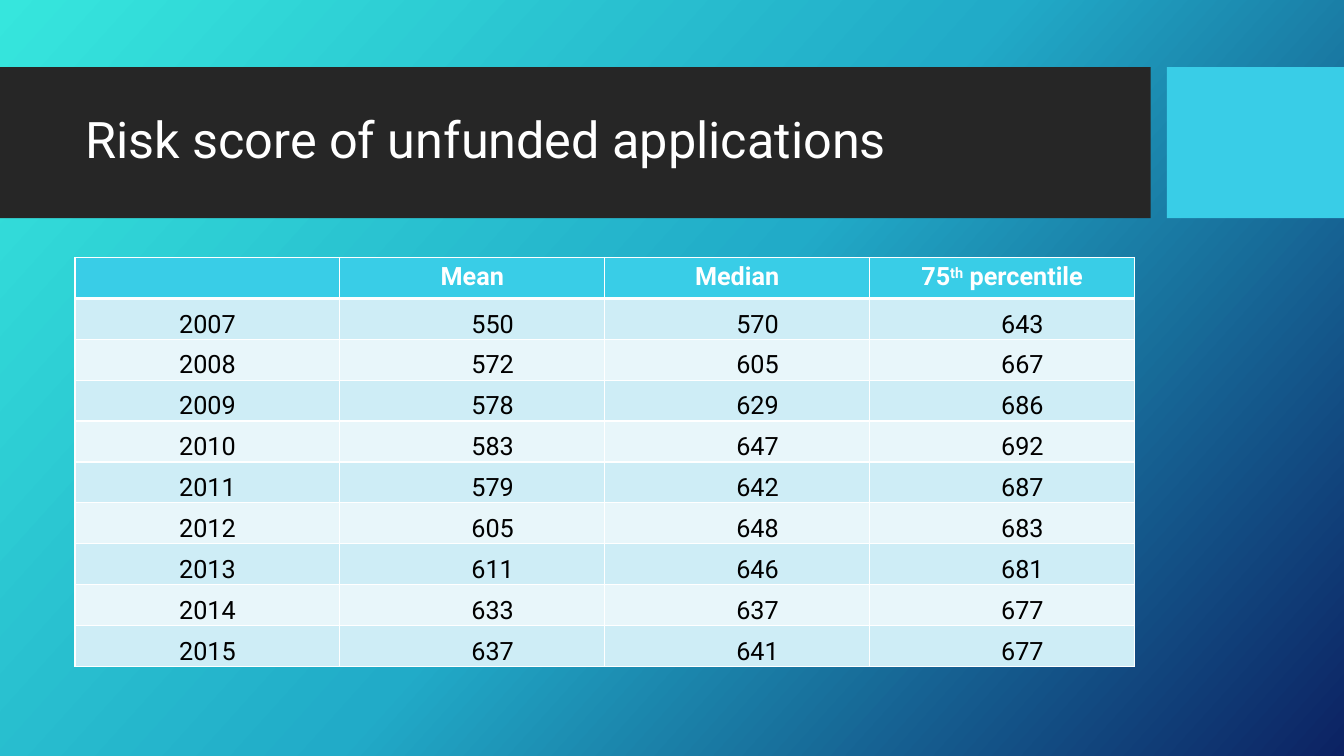
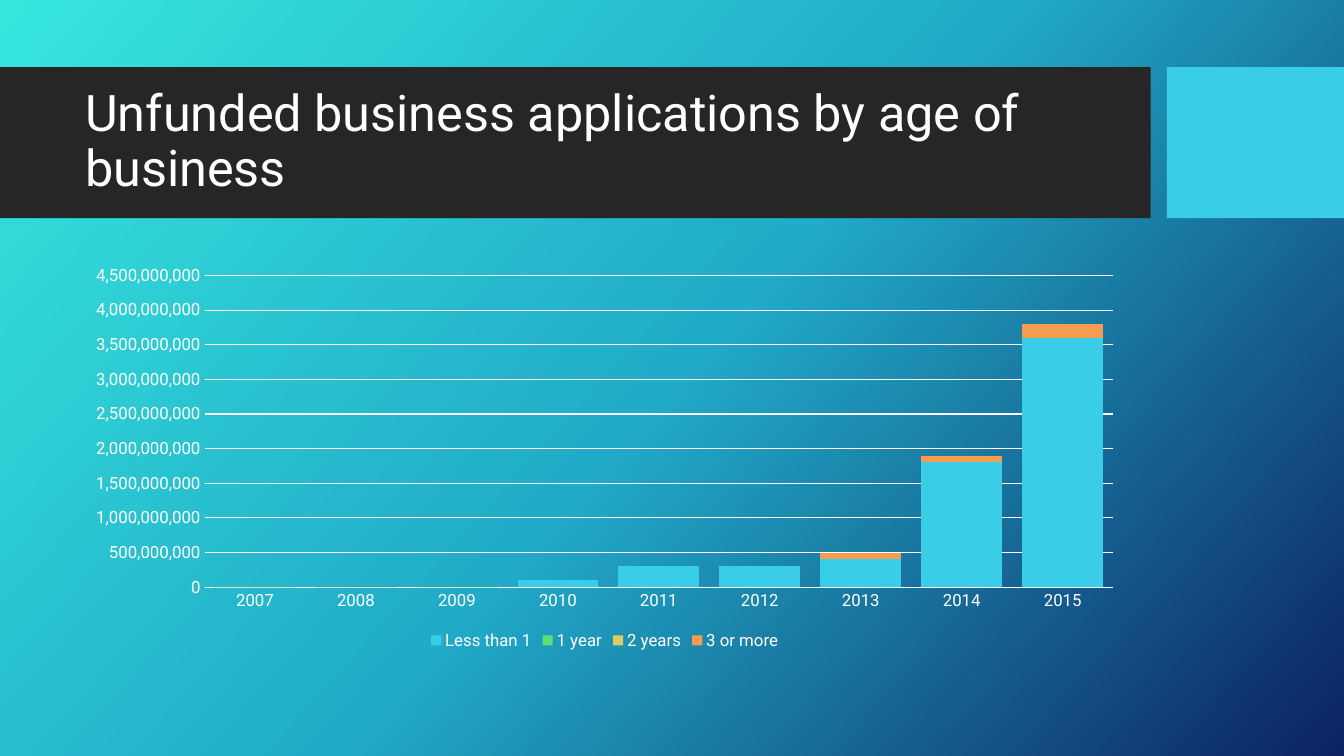
import copy

import lxml.etree
import pptx
import pptx.chart.data
import pptx.dml.color
import pptx.enum.chart
import pptx.enum.shapes
import pptx.enum.text
import pptx.oxml.ns
import pptx.util

Cm = pptx.util.Cm
Pt = pptx.util.Pt
ALIGN = pptx.enum.text.PP_ALIGN
ANCHOR = pptx.enum.text.MSO_ANCHOR

WHITE = "FFFFFF"
BLACK = "000000"
CHARCOAL = "262626"
CYAN = "39CDE7"
ROW_FILLS = ("CEEDF6", "E8F6FA")
SERIES_COLOURS = (CYAN, "60DE72", "DDCC64", "F49D50")
BACKGROUND_STOPS = ((0, "36E6DD"), (0.5, "21ABC8"), (1, "0C2263"))

LEFT, TOP, WIDTH = 1.89, 6.49, 26.7
YEARS = [str(year) for year in range(2007, 2016)]

RISK_SCORES = {
    "Mean": (550, 572, 578, 583, 579, 605, 611, 633, 637),
    "Median": (570, 605, 629, 647, 642, 648, 646, 637, 641),
    "75th percentile": (643, 667, 686, 692, 687, 683, 681, 677, 677),
}

HUNDRED_MILLIONS_BY_AGE = {
    "Less than 1": (0, 0, 0, 1, 3, 3, 4, 18, 36),
    "1 year": (0, 0, 0, 0, 0, 0, 0, 0, 0),
    "2 years": (0, 0, 0, 0, 0, 0, 0, 0, 0),
    "3 or more": (0, 0, 0, 0, 0, 0, 1, 1, 2),
}


def colour(code):
    return pptx.dml.color.RGBColor.from_string(code)


def apply(target, values):
    for name, value in values.items():
        setattr(target, name, value)


def format_font(font, size, code=WHITE, bold=False):
    apply(font, {"name": "Roboto", "size": Pt(size), "bold": bold})
    font.color.rgb = colour(code)


def paint(target, code):
    target.fill.solid()
    target.fill.fore_color.rgb = colour(code)


class Presenter:
    def __init__(self):
        self.deck = pptx.Presentation()
        apply(self.deck, {"slide_width": Cm(33.87), "slide_height": Cm(19.05)})
        self.page = None
        self.set_background()

    def set_background(self):
        master = self.deck.slide_master
        fill = master.background.fill
        fill.gradient()
        fill.gradient_angle = 318
        stop_list = master._element.xpath(".//p:bg//a:gsLst")[0]
        stop_list.append(copy.deepcopy(stop_list[0]))
        for stop, (position, code) in zip(fill.gradient_stops, BACKGROUND_STOPS):
            stop.position = position
            stop.color.rgb = colour(code)

    def add_page(self, title):
        self.page = self.deck.slides.add_slide(self.deck.slide_layouts[5])
        self.add_band(0, 29, CHARCOAL)
        self.add_band(29.41, 4.46, CYAN)
        self.add_title(title)

    def add_band(self, left, width, code):
        band = self.page.shapes.add_shape(
            pptx.enum.shapes.MSO_SHAPE.RECTANGLE, Cm(left), Cm(1.69), Cm(width), Cm(3.81)
        )
        band.shadow.inherit = False
        paint(band, code)
        band.line.fill.background()

    def add_title(self, text):
        title = self.page.shapes.title
        self.page.shapes._spTree.append(title._element)
        apply(title, {"left": Cm(LEFT), "top": Cm(2.09), "width": Cm(WIDTH), "height": Cm(3)})
        frame = title.text_frame
        frame.text = text
        apply(frame, {
            "vertical_anchor": ANCHOR.MIDDLE,
            "word_wrap": True,
            "auto_size": pptx.enum.text.MSO_AUTO_SIZE.NONE,
        })
        para = frame.paragraphs[0]
        apply(para, {"alignment": ALIGN.LEFT, "line_spacing": 0.9})
        format_font(para.font, 36)

    def add_borders(self, cell, widths):
        properties = cell._tc.get_or_add_tcPr()
        for index, (side, width) in enumerate(widths.items()):
            line = lxml.etree.Element(pptx.oxml.ns.qn(f"a:ln{side}"), w=str(Pt(width)))
            fill = lxml.etree.SubElement(line, pptx.oxml.ns.qn("a:solidFill"))
            lxml.etree.SubElement(fill, pptx.oxml.ns.qn("a:srgbClr"), val=WHITE)
            properties.insert(index, line)

    def fill_header(self, cell, text):
        para = cell.text_frame.paragraphs[0]
        para.alignment = ALIGN.CENTER
        before, ordinal, after = text.partition("th ")
        pieces = (before, "th", f" {after}") if ordinal else (text,)
        for piece in pieces:
            span = para.add_run()
            span.text = piece
            format_font(span.font, 18, WHITE, True)
            if piece == "th":
                span._r.get_or_add_rPr().set("baseline", "30000")

    def fill_value(self, cell, text, is_year):
        cell.text = text
        apply(cell, {
            "vertical_anchor": ANCHOR.BOTTOM,
            "margin_left": Cm(0.03),
            "margin_top": Cm(0.03),
            "margin_right": Cm(0.03 if is_year else 2.29),
            "margin_bottom": 0,
        })
        para = cell.text_frame.paragraphs[0]
        para.alignment = ALIGN.CENTER if is_year else ALIGN.RIGHT
        format_font(para.font, 18, BLACK)

    def add_table(self, categories, columns):
        rows = [("", *columns), *zip(categories, *columns.values())]
        table = self.page.shapes.add_table(
            len(rows), len(rows[0]), Cm(LEFT), Cm(TOP), Cm(WIDTH), Cm(1.03 * len(rows))
        ).table
        for row_index, row in enumerate(rows):
            for column_index, value in enumerate(row):
                cell = table.cell(row_index, column_index)
                if row_index:
                    self.fill_value(cell, str(value), column_index == 0)
                    paint(cell, ROW_FILLS[(row_index - 1) % 2])
                else:
                    if value:
                        self.fill_header(cell, value)
                    paint(cell, CYAN)
                self.add_borders(cell, {
                    "L": 1,
                    "R": 1,
                    "T": 3 if row_index == 1 else 1,
                    "B": 3 if row_index == 0 else 1,
                })

    def add_stacked_chart(self, categories, hundred_millions):
        data = pptx.chart.data.CategoryChartData(number_format="#,##0")
        data.categories = categories
        for name, values in hundred_millions.items():
            data.add_series(name, [value * 100_000_000 for value in values])
        chart = self.page.shapes.add_chart(
            pptx.enum.chart.XL_CHART_TYPE.COLUMN_STACKED,
            Cm(LEFT), Cm(TOP), Cm(WIDTH), Cm(10), data,
        ).chart
        apply(chart, {"has_title": False, "has_legend": True})
        format_font(chart.font, 10)
        apply(chart.legend, {
            "position": pptx.enum.chart.XL_LEGEND_POSITION.BOTTOM,
            "include_in_layout": False,
        })
        format_font(chart.legend.font, 12)
        plot = chart.plots[0]
        apply(plot, {"gap_width": 25, "overlap": 100, "vary_by_categories": False})
        for series, code in zip(plot.series, SERIES_COLOURS):
            paint(series.format, code)
        self.format_axes(chart.category_axis, chart.value_axis)

    def format_axes(self, category_axis, value_axis):
        no_mark = pptx.enum.chart.XL_TICK_MARK.NONE
        for axis in (category_axis, value_axis):
            apply(axis, {"major_tick_mark": no_mark, "minor_tick_mark": no_mark})
            format_font(axis.tick_labels.font, 12)
        apply(value_axis, {
            "minimum_scale": 0,
            "maximum_scale": 4_500_000_000,
            "major_unit": 500_000_000,
            "has_major_gridlines": True,
        })
        apply(value_axis.tick_labels, {
            "number_format": "#,##0", "number_format_is_linked": False,
        })
        value_axis.format.line.fill.background()
        for line in (category_axis.format.line, value_axis.major_gridlines.format.line):
            line.color.rgb = colour(WHITE)
            line.width = Pt(0.75)


def main():
    presenter = Presenter()
    presenter.add_page("Risk score of unfunded applications")
    presenter.add_table(YEARS, RISK_SCORES)
    presenter.add_page("Unfunded business applications by age of business")
    presenter.add_stacked_chart(YEARS, HUNDRED_MILLIONS_BY_AGE)
    presenter.deck.save("out.pptx")


if __name__ == "__main__":
    main()
